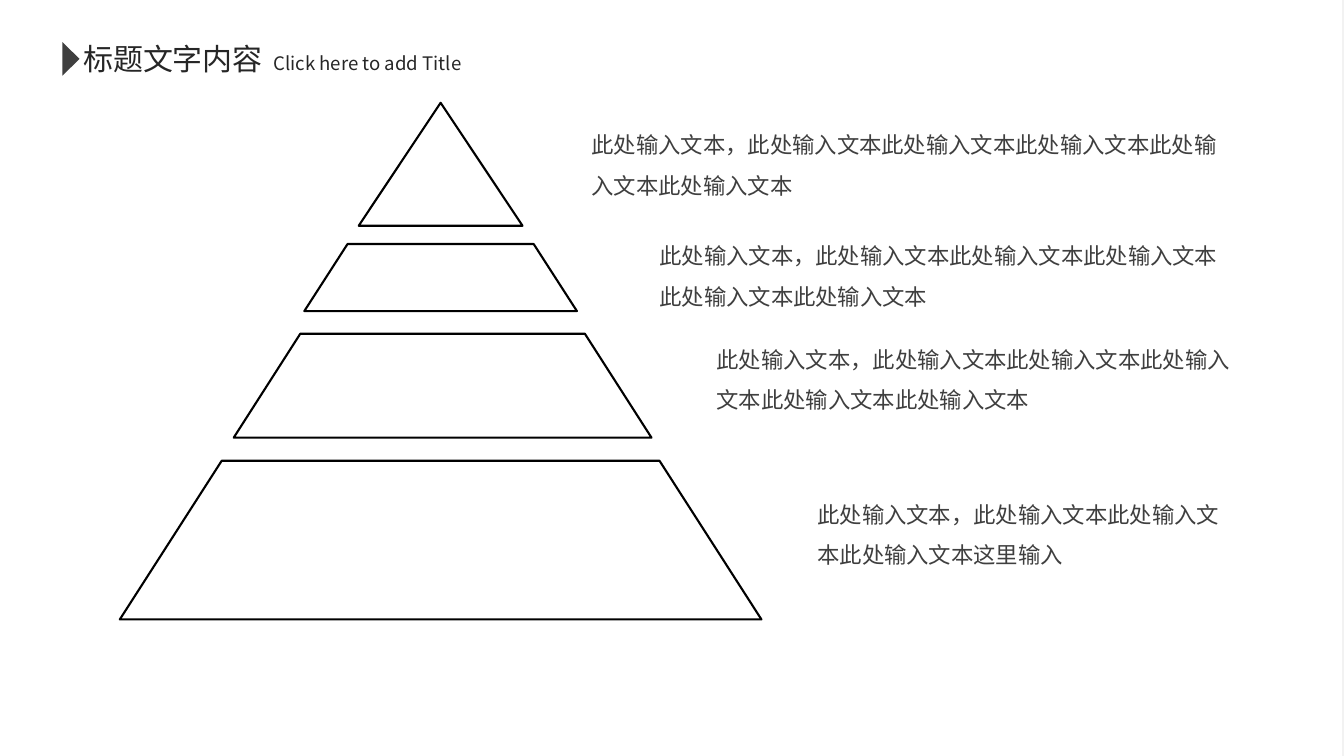
from dataclasses import dataclass

from lxml.etree import SubElement
from pptx import Presentation
from pptx.dml.color import RGBColor
from pptx.enum.shapes import MSO_SHAPE as Preset
from pptx.enum.text import MSO_ANCHOR as Anchor
from pptx.oxml.ns import qn
from pptx.util import Cm, Pt


@dataclass(frozen=True)
class Theme:
    font: str = "Noto Sans CJK SC"
    edge: str = "F2F2F2"
    paper: str = "FFFFFF"
    outline: str = "000000"
    heading: str = "262626"
    body: str = "3F3F3F"
    title_size: float = 21.4
    subtitle_size: float = 13.3
    body_size: float = 16


theme = Theme()
deck = Presentation()
deck.slide_width, deck.slide_height = Cm(33.87), Cm(19.05)
page = deck.slides.add_slide(deck.slide_layouts[6])
page.background.fill.solid()
page.background.fill.fore_color.rgb = RGBColor.from_string(theme.edge)


def add_preset(preset, area, fill=None, line=None):
    shape = page.shapes.add_shape(preset, *map(Cm, area))
    shape.shadow.inherit = False
    if fill:
        shape.fill.solid()
        shape.fill.fore_color.rgb = RGBColor.from_string(fill)
    else:
        shape.fill.background()
    if line:
        shape.line.color.rgb = RGBColor.from_string(line)
        shape.line.width = Pt(1.5)
    else:
        shape.line.fill.background()
    return shape


def add_text(area, words, size, color, anchor=Anchor.TOP, spacing=1.0):
    frame = page.shapes.add_textbox(*map(Cm, area)).text_frame
    for name, value in {"word_wrap": True, "vertical_anchor": anchor}.items():
        setattr(frame, name, value)
    para = frame.paragraphs[0]
    para.line_spacing = spacing
    span = para.add_run()
    span.text = words
    for name, value in {"name": theme.font, "size": Pt(size)}.items():
        setattr(span.font, name, value)
    span.font.color.rgb = RGBColor.from_string(color)
    east_asian = SubElement(span.font._element, qn("a:ea"))
    east_asian.set("typeface", theme.font)


add_preset(Preset.RECTANGLE, (-0.05, 0, 33.87, 19.05), fill=theme.paper)

# Pyramid: a peak, then tiers as left, top, width, height, slant
add_preset(Preset.ISOSCELES_TRIANGLE, (9.04, 2.59, 4.13, 3.1), line=theme.outline)
tiers = [
    (7.67, 6.15, 6.87, 1.69, 1.09),
    (5.89, 8.41, 10.53, 2.62, 1.68),
    (3.02, 11.61, 16.17, 4.0, 2.57),
]
for *area, slant in tiers:
    tier = add_preset(Preset.TRAPEZOID, area, line=theme.outline)
    tier.adjustments[0] = slant / area[3]

# Descriptions share one right edge
right_edge = 31.33
long_text = "此处输入文本，此处输入文本此处输入文本此处输入文本此处输入文本此处输入文本"
descriptions = [
    (14.66, 3.35, long_text),
    (16.37, 6.15, long_text),
    (17.81, 8.75, long_text),
    (20.35, 12.66, "此处输入文本，此处输入文本此处输入文本此处输入文本这里输入"),
]
for left, top, words in descriptions:
    add_text((left, top, right_edge - left, 1.28), words, theme.body_size,
             theme.body, Anchor.MIDDLE, 1.5)

# Heading
add_text((1.85, 0.89, 5.3, 1.17), "标题文字内容", theme.title_size, theme.heading)
marker = add_preset(Preset.ISOSCELES_TRIANGLE, (1.37, 1.27, 0.84, 0.43), fill=theme.body)
marker.rotation = 90
add_text((6.64, 1.19, 6, 0.84), "Click here to add Title", theme.subtitle_size, theme.heading)

deck.save("out.pptx")
